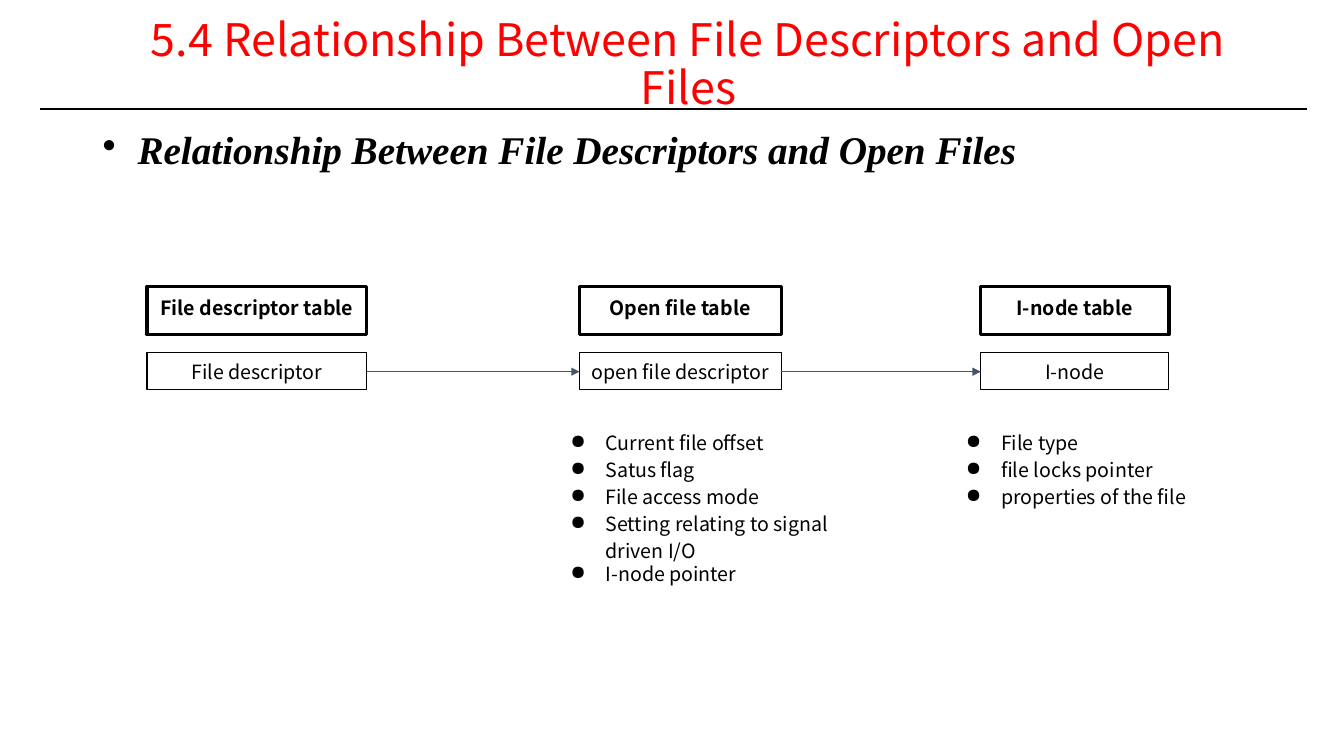
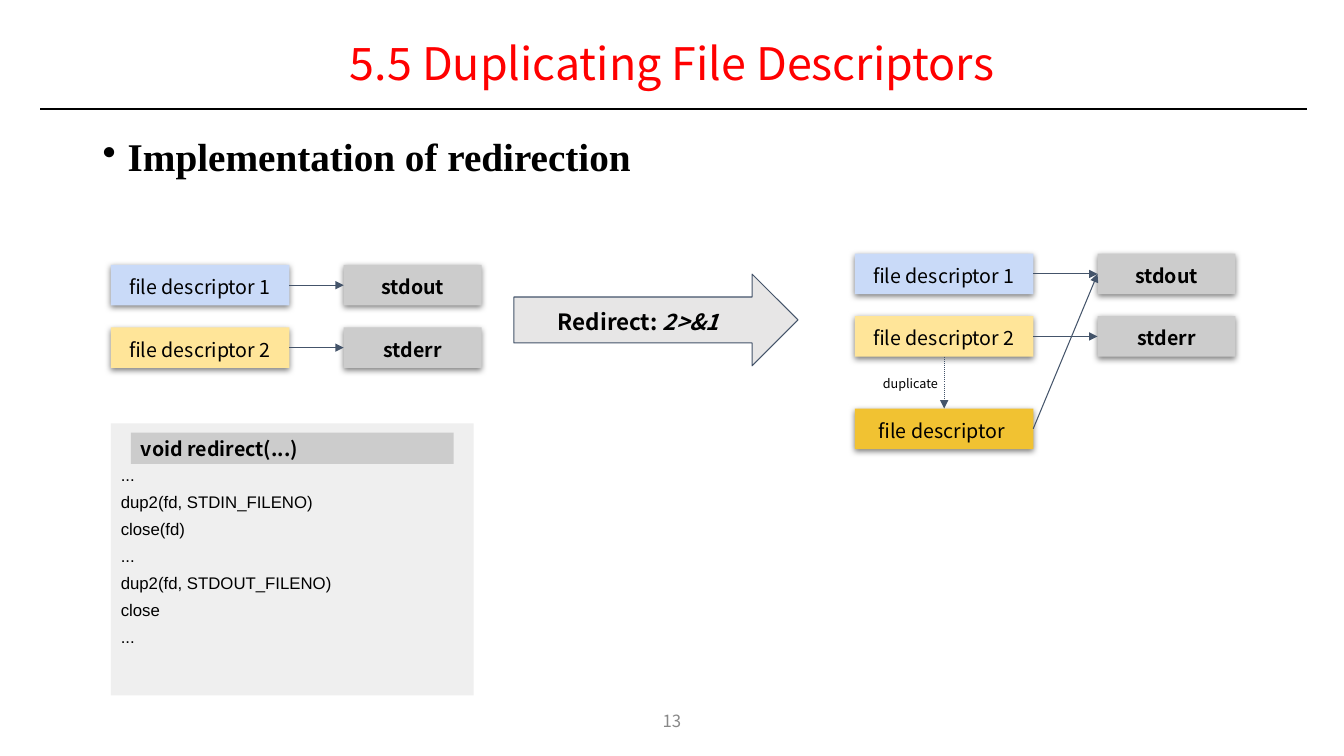
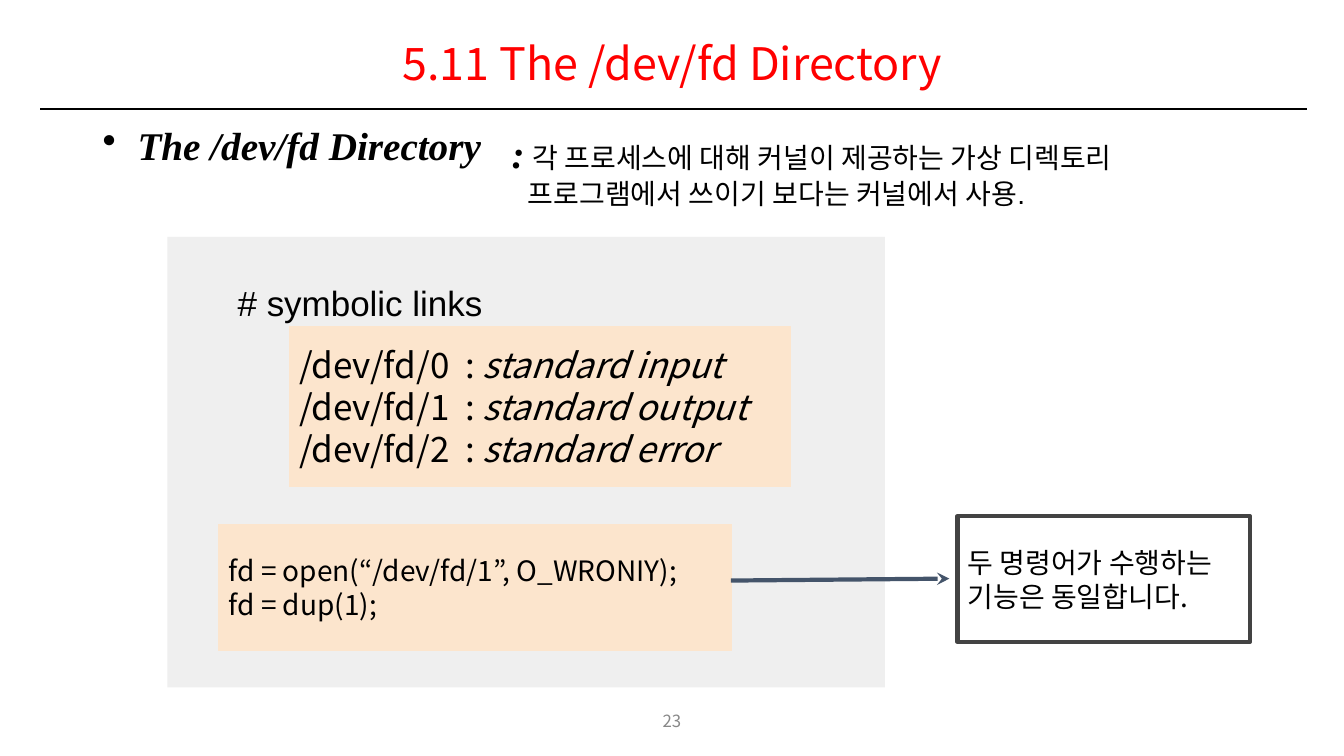
from dataclasses import dataclass

from lxml import etree
from pptx import Presentation
from pptx.dml.color import RGBColor
from pptx.enum import dml, shapes, text
from pptx.oxml import ns
from pptx.util import Pt


@dataclass(frozen=True)
class Theme:
    sans: str = "Noto Sans CJK KR"
    serif: str = "Times New Roman"
    code: str = "Arial"
    ink: str = "000000"
    title: str = "FF0000"
    footer: str = "888888"
    slate: str = "44546A"
    frame: str = "434343"
    panel: str = "EFEFEF"
    arrow: str = "E7E6E6"
    grey: str = "CCCCCC"
    blue: str = "C9DAF8"
    yellow: str = "FFE599"
    gold: str = "F1C232"
    peach: str = "FCE5CD"
    title_size: int = 32
    heading_size: int = 28
    code_size: int = 25
    note_size: int = 20
    action_size: int = 16
    label_size: int = 14
    small_size: int = 12
    tiny_size: int = 9


theme = Theme()
LEFT, CENTER = text.PP_ALIGN.LEFT, text.PP_ALIGN.CENTER
TOP, MIDDLE = text.MSO_ANCHOR.TOP, text.MSO_ANCHOR.MIDDLE


def add_box(page, at, lines=(), size=theme.label_size, font=theme.sans, color=theme.ink,
            bold=False, italic=False, align=LEFT, anchor=MIDDLE, pad=7.2, spacing=1.0,
            before=0, bullet=None, fill=None, line=None, width=0.75, shadow=False,
            preset=shapes.MSO_SHAPE.RECTANGLE):
    """Add a text box, or a shape when it has a fill or line.

    A line is a string or a tuple of runs, every second of which is italic.
    A bullet is (character, indent, hanging).
    """
    place = [Pt(value) for value in at]
    if fill or line:
        box = page.shapes.add_shape(preset, *place)
        box.shadow.inherit = False
        if fill:
            box.fill.solid()
            box.fill.fore_color.rgb = RGBColor.from_string(fill)
        else:
            box.fill.background()
        if line:
            box.line.color.rgb = RGBColor.from_string(line)
            box.line.width = Pt(width)
        else:
            box.line.fill.background()
    else:
        box = page.shapes.add_textbox(*place)
    if shadow:
        effects = box._element.spPr.find(ns.qn("a:effectLst"))
        outer = etree.SubElement(effects, ns.qn("a:outerShdw"), blurRad=str(Pt(4.5)),
                                 dist=str(Pt(1.5)), dir="5400000", rotWithShape="0")
        tint = etree.SubElement(outer, ns.qn("a:srgbClr"), val=theme.ink)
        etree.SubElement(tint, ns.qn("a:alpha"), val="50000")

    frame = box.text_frame
    frame.word_wrap = True
    frame.vertical_anchor = anchor
    frame.margin_left = frame.margin_right = Pt(7.2)
    frame.margin_top = frame.margin_bottom = Pt(pad)
    for number, pieces in enumerate(lines):
        para = frame.add_paragraph() if number else frame.paragraphs[0]
        para.alignment = align
        para.line_spacing = spacing
        para.space_before = Pt(before)
        if bullet:
            mark, indent, hanging = bullet
            props = para._p.get_or_add_pPr()
            props.set("marL", str(Pt(indent)))
            props.set("indent", str(Pt(-hanging)))
            tint = etree.SubElement(props, ns.qn("a:buClr"))
            etree.SubElement(tint, ns.qn("a:srgbClr"), val=theme.ink)
            etree.SubElement(props, ns.qn("a:buChar"), char=mark)
        for order, piece in enumerate((pieces,) if isinstance(pieces, str) else pieces):
            span = para.add_run()
            span.text = piece
            span.font.name = font
            span.font.size = Pt(size)
            span.font.bold = bold
            span.font.italic = italic or order % 2 == 1
            span.font.color.rgb = RGBColor.from_string(color)
            etree.SubElement(span._r.get_or_add_rPr(), ns.qn("a:ea"), typeface=theme.sans)
    return box


def add_line(page, start, end, color=theme.slate, width=0.75, tail="triangle", dash=None):
    line = page.shapes.add_connector(shapes.MSO_CONNECTOR.STRAIGHT,
                                     *[Pt(value) for value in (*start, *end)])
    line.line.color.rgb = RGBColor.from_string(color)
    line.line.width = Pt(width)
    if dash:
        line.line.dash_style = dash
    if tail:
        etree.SubElement(line.line._get_or_add_ln(), ns.qn("a:tailEnd"), type=tail)
    etree.SubElement(line._element.spPr, ns.qn("a:effectLst"))


deck = Presentation()
deck.slide_width, deck.slide_height = Pt(960), Pt(540)

# Title, rule, heading and page number of every slide
outline = [
    ("5.4 Relationship Between File Descriptors and Open Files", 851,
     " Relationship Between File Descriptors and Open Files", 90, True, None),
    ("5.5 Duplicating File Descriptors", 828,
     "Implementation of redirection", 95, False, "13"),
    ("5.11 The /dev/fd Directory", 828,
     " The /dev/fd Directory", 87, True, "23"),
]
pages = []
for title, title_width, heading, heading_top, slanted, number in outline:
    page = deck.slides.add_slide(deck.slide_layouts[6])
    add_box(page, (66.2, 21, title_width, 52.5), [title], theme.title_size,
            color=theme.title, align=CENTER, pad=3.6, spacing=0.9)
    add_line(page, (28.8, 77.8), (933.8, 77.8), theme.ink, 1.5, tail=None)
    add_box(page, (66.2, heading_top, 828, 43), [heading], theme.heading_size, theme.serif,
            bold=True, italic=slanted, anchor=TOP, pad=3.6, spacing=0.9,
            bullet=("•", 18, 18))
    if number:
        add_box(page, (372, 500.4, 216, 28.8), [number], theme.small_size,
                color=theme.footer, align=CENTER, pad=3.6)
    pages.append(page)
tables_page, redirect_page, directory_page = pages

# Slide 1: three tables, linked from left to right
tables = [
    (105, 157, "File descriptor table", "File descriptor"),
    (414, 144, "Open file table", "open file descriptor"),
    (700.5, 134.5, "I-node table", "I-node"),
]
for left, width, name, entry in tables:
    add_box(tables_page, (left, 204.5, width, 34.5), [name], bold=True, align=CENTER,
            anchor=TOP, line=theme.ink, width=2.25)
    add_box(tables_page, (left, 252, width, 26.6), [entry], align=CENTER, line=theme.ink)
for (left, width, *_), (next_left, *_) in zip(tables, tables[1:]):
    add_line(tables_page, (left + width, 265.5), (next_left, 265.5))

contents = [
    (389.5, ["Current file offset", "Satus flag", "File access mode",
             "Setting relating to signal driven I/O", "I-node pointer"]),
    (672, ["File type", "file locks pointer", "properties of the file"]),
]
field_lists = [add_box(tables_page, (left, 298, 215, 139), fields, anchor=TOP, spacing=1.15,
                       bullet=("●", 36, 25.2)) for left, fields in contents]
field_lists[0].text_frame.paragraphs[-1].line_spacing = 1.0

# Slide 2: descriptors before and after the redirection
box_width, stream_width, box_height, row_step = 127.5, 98.5, 29, 44.6
rows = [("file descriptor 1", theme.blue, "stdout"),
        ("file descriptor 2", theme.yellow, "stderr")]
for left, stream_left, first_top in [(79.2, 245.5, 189.2), (610.6, 784, 181.2)]:
    for row, (descriptor, color, stream) in enumerate(rows):
        top = first_top + row * row_step
        middle = top + box_height / 2
        add_box(redirect_page, (left, top, box_width, box_height), [descriptor],
                align=CENTER, anchor=TOP, fill=color, shadow=True)
        add_box(redirect_page, (stream_left, top, stream_width, box_height), [stream],
                bold=True, align=CENTER, anchor=TOP, fill=theme.grey, shadow=True)
        add_line(redirect_page, (left + box_width, middle), (stream_left, middle))

add_box(redirect_page, (610.6, 291.8, box_width, box_height), ["file descriptor "],
        align=CENTER, anchor=TOP, fill=theme.gold, shadow=True)
add_line(redirect_page, (738, 306.3), (784, 195.7))
add_line(redirect_page, (674.4, 254.8), (674.4, 291.8), dash=dml.MSO_LINE.ROUND_DOT)
add_box(redirect_page, (612, 265, 76.5, 17.3), ["duplicate"], theme.tiny_size, align=CENTER)

add_box(redirect_page, (367, 195.8, 203, 65.5), fill=theme.arrow, line=theme.slate,
        preset=shapes.MSO_SHAPE.RIGHT_ARROW)
add_box(redirect_page, (381.6, 219, 149, 18.7), [("Redirect: ", "2>&1")],
        theme.action_size, bold=True, align=CENTER, spacing=1.15)

listing = add_box(redirect_page, (79.2, 302.4, 259.2, 194.4),
                  ["...", "dup2(fd, STDIN_FILENO)", "close(fd)", "...",
                   "dup2(fd, STDOUT_FILENO)", "close", "..."],
                  theme.small_size, theme.code, spacing=0.5, before=12, fill=theme.panel)
listing.text_frame.paragraphs[-1].space_after = Pt(12)
add_box(redirect_page, (93.6, 309, 230.4, 22.3), ["void redirect(...)"], bold=True,
        fill=theme.grey)

# Slide 3: symbolic links and two equivalent calls
summary = add_box(directory_page, (352.8, 88.6, 561, 90),
                  [(" ", ":", " 각 프로세스에 대해 커널이 제공하는 가상 디렉토리"),
                   "프로그램에서 쓰이기 보다는 커널에서 사용."],
                  theme.note_size, theme.code, anchor=TOP, pad=3.6)
first, second = summary.text_frame.paragraphs
colon = first.runs[1].font
colon.name, colon.size, colon.bold = theme.serif, Pt(theme.heading_size), True
second._p.get_or_add_pPr().set("marL", str(Pt(17)))

add_box(directory_page, (119.5, 169.2, 512.6, 321.8), fill=theme.panel)
add_box(directory_page, (162.7, 194.4, 275.8, 43.2), ["# symbolic links"],
        theme.code_size, theme.code)
streams = ["standard input", "standard output", "standard error"]
add_box(directory_page, (206.6, 233.3, 357.8, 114.5),
        [(f"/dev/fd/{number}  : ", stream) for number, stream in enumerate(streams)],
        theme.code_size, fill=theme.peach, line=theme.peach)
add_box(directory_page, (156.2, 374.4, 366.5, 90),
        ["fd = open(“/dev/fd/1”, O_WRONIY);", "fd = dup(1);"],
        theme.note_size, fill=theme.peach, line=theme.peach)
add_line(directory_page, (522, 414.7), (678.2, 413.3), width=3, tail="stealth")
add_box(directory_page, (684, 368.6, 208.8, 90),
        ["두 명령어가 수행하는", "기능은 동일합니다."],
        theme.note_size, line=theme.frame, width=3)

deck.save("out.pptx")
